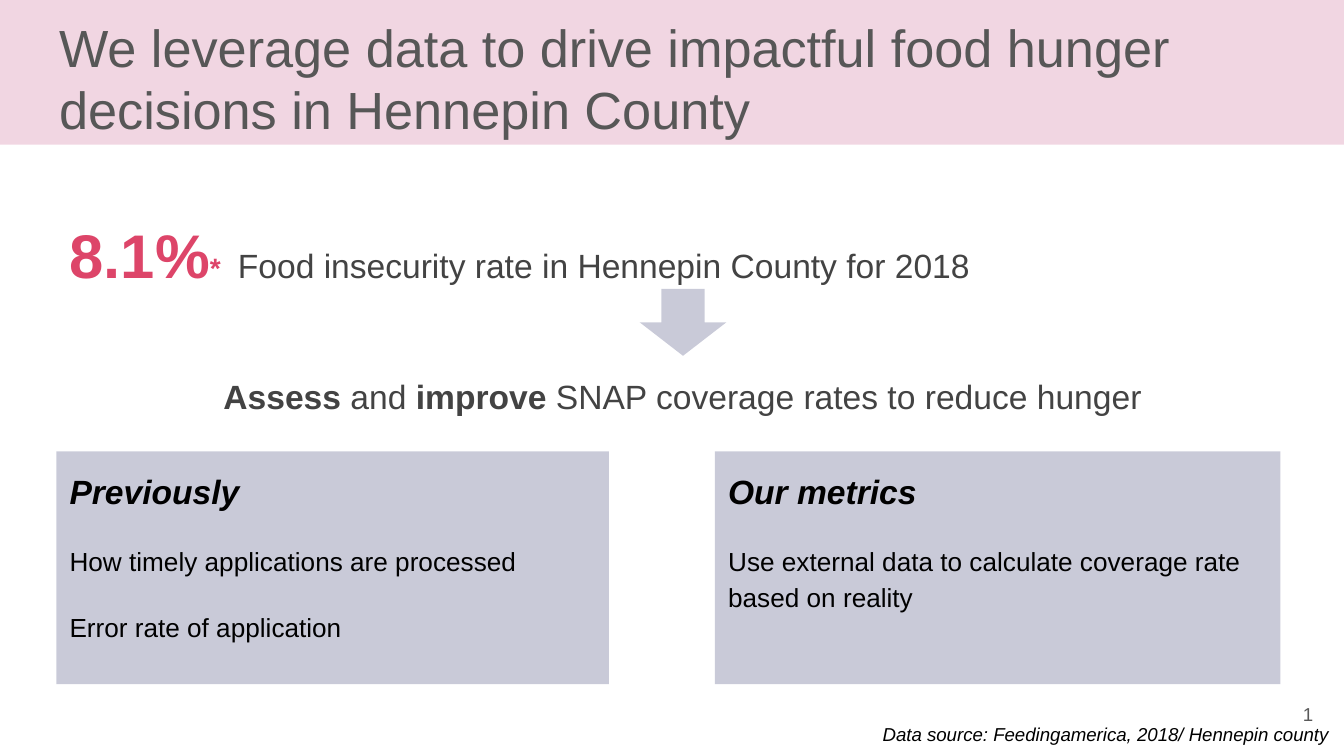
import pptx
import pptx.util
import pptx.dml.color
import pptx.enum.shapes
import pptx.enum.text
import pptx.oxml.ns
import lxml.etree

Pt = pptx.util.Pt
Shape = pptx.enum.shapes.MSO_SHAPE
Align = pptx.enum.text.PP_ALIGN
Anchor = pptx.enum.text.MSO_ANCHOR

FONT = "Arial"
PINK, NAVY, RED, GREY = "E6B3CA", "474A7B", "DD4569", "434343"
MARGIN = 30.2
CONTENT_WIDTH = 671
PANEL_TOP, PANEL_HEIGHT = 241.9, 124.6

TITLE = "We leverage data to drive impactful food hunger decisions in Hennepin County"
RATE = [
    ("8.1%", {"size": 33, "color": RED, "bold": True}),
    ("*", {"size": 15, "color": RED, "bold": True}),
    (" ", {"size": 33, "color": RED}),
    ("Food insecurity rate in Hennepin County for 2018", {"size": 18, "color": GREY}),
]
GOAL = [
    (text, {"size": 18, "color": GREY, "bold": bold})
    for text, bold in [
        ("Assess ", True),
        ("and ", False),
        ("improve ", True),
        ("SNAP coverage rates to reduce hunger", False),
    ]
]
PANELS = [
    (MARGIN, 296, "Previously",
     ["How timely applications are processed", "Error rate of application"]),
    (383, 303, "Our metrics",
     ["Use external data to calculate coverage rate based on reality"]),
]
SOURCE = "Data source: Feedingamerica, 2018/ Hennepin county"
PAGE_NUMBER = "1"


def rgb(value):
    return pptx.dml.color.RGBColor.from_string(value)


def place(shape, left, top, width, height):
    shape.left, shape.top, shape.width, shape.height = map(Pt, (left, top, width, height))


def add_filled(slide, kind, box, color, opacity):
    shape = slide.shapes.add_shape(kind, *map(Pt, box))
    shape.shadow.inherit = False
    shape.line.fill.background()
    shape.fill.solid()
    shape.fill.fore_color.rgb = rgb(color)
    color_element = shape.element.spPr.find(".//" + pptx.oxml.ns.qn("a:srgbClr"))
    alpha = lxml.etree.SubElement(color_element, pptx.oxml.ns.qn("a:alpha"))
    alpha.set("val", str(opacity * 1000))
    return shape


def prepare_frame(shape, anchor=Anchor.TOP):
    frame = shape.text_frame
    frame.word_wrap = True
    frame.auto_size = pptx.enum.text.MSO_AUTO_SIZE.NONE
    frame.vertical_anchor = anchor
    frame.margin_left = frame.margin_right = Pt(7.2)
    frame.margin_top = frame.margin_bottom = Pt(7.2)
    return frame


def add_run(paragraph, text, size=14, color="000000", bold=False, italic=False):
    run = paragraph.add_run()
    run.text = text
    font = run.font
    font.name, font.size, font.bold, font.italic = FONT, Pt(size), bold, italic
    font.color.rgb = rgb(color)


def write(paragraph, runs, align=Align.LEFT, spacing=1.15, before=0, after=0):
    paragraph.alignment = align
    paragraph.line_spacing = spacing
    paragraph.space_before, paragraph.space_after = Pt(before), Pt(after)
    for text, style in runs:
        add_run(paragraph, text, **style)


def add_text(slide, box, runs, anchor=Anchor.TOP, **paragraph_format):
    shape = slide.shapes.add_textbox(*map(Pt, box))
    write(prepare_frame(shape, anchor).paragraphs[0], runs, **paragraph_format)


def add_panel(slide, left, width, heading, lines):
    box = (left, PANEL_TOP, width, PANEL_HEIGHT)
    frame = prepare_frame(add_filled(slide, Shape.RECTANGLE, box, NAVY, 29))
    write(frame.paragraphs[0], [(heading, {"size": 18, "bold": True, "italic": True})])
    for line in lines:
        write(frame.add_paragraph(), [(line, {})], before=16)


def main():
    presentation = pptx.Presentation()
    presentation.slide_width, presentation.slide_height = Pt(720), Pt(405)
    slide = presentation.slides.add_slide(presentation.slide_layouts[5])

    add_filled(slide, Shape.RECTANGLE, (0, -1.5, 720, 79), PINK, 53)
    title = slide.shapes.title
    title.element.getparent().append(title.element)
    place(title, 24.5, 0.7, CONTENT_WIDTH, 82)
    write(prepare_frame(title).paragraphs[0],
          [(TITLE, {"size": 28, "color": "575757"})], spacing=1)

    add_text(slide, (MARGIN, 103, CONTENT_WIDTH, 49), RATE, after=16)
    for panel in PANELS:
        add_panel(slide, *panel)
    add_text(slide, (465.8, 380.2, 260, 19.4),
             [(SOURCE, {"size": 10, "italic": True})], spacing=1)
    add_filled(slide, Shape.DOWN_ARROW, (342.7, 154.8, 46.4, 35.8), NAVY, 29)
    add_text(slide, (MARGIN, 190.8, CONTENT_WIDTH, 36), GOAL, align=Align.CENTER, after=16)
    add_text(slide, (667.4, 367.2, 43.2, 31), [(PAGE_NUMBER, {"size": 10, "color": "595959"})],
             anchor=Anchor.MIDDLE, align=Align.RIGHT, spacing=1)
    presentation.save("out.pptx")


if __name__ == "__main__":
    main()
